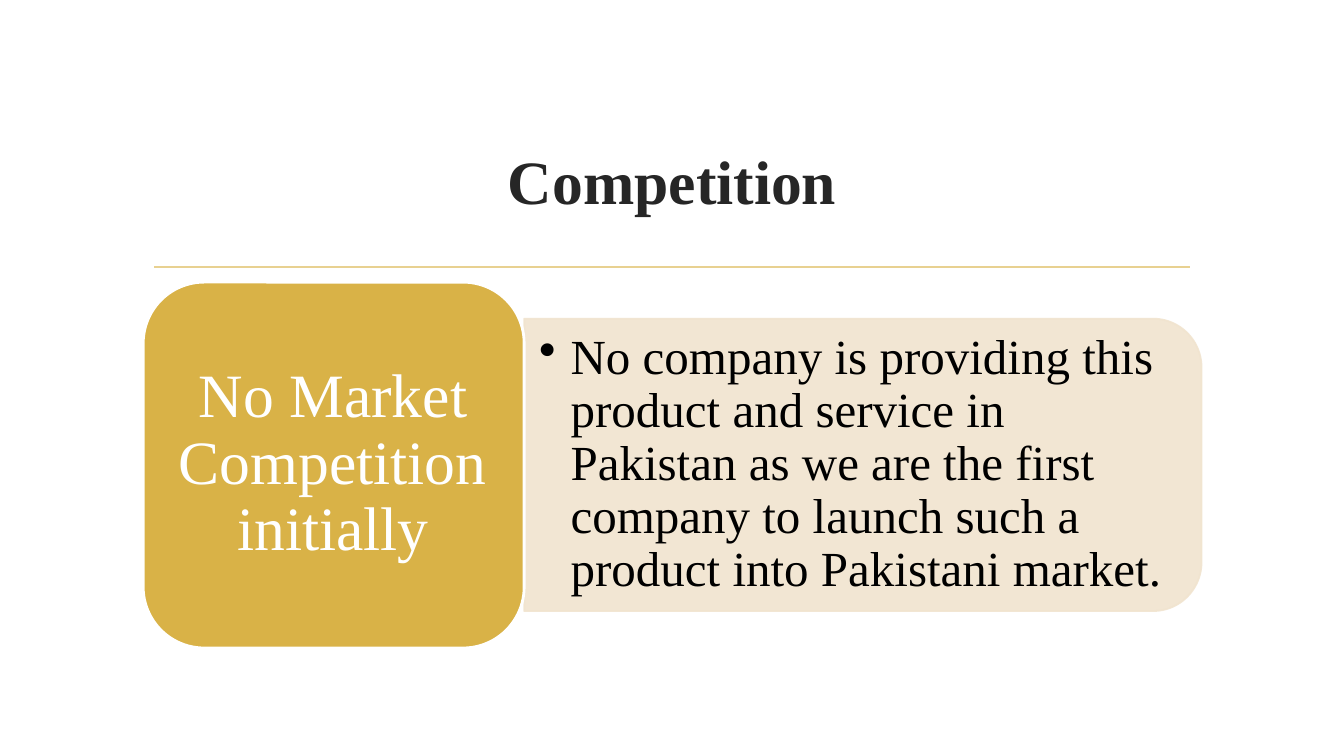
from lxml.etree import SubElement
from pptx import Presentation
from pptx.dml.color import RGBColor
from pptx.enum.shapes import MSO_CONNECTOR as Connector, MSO_SHAPE as Shape
from pptx.enum.text import MSO_ANCHOR as Anchor, PP_ALIGN as Align
from pptx.oxml.ns import qn
from pptx.util import Cm, Pt

WHITE = RGBColor(0xFF, 0xFF, 0xFF)
BLACK = RGBColor(0x00, 0x00, 0x00)
CHARCOAL = RGBColor(0x26, 0x26, 0x26)
GOLD = RGBColor(0xD9, 0xB2, 0x47)
PALE_GOLD = RGBColor(0xE8, 0xD1, 0x91)
CREAM = RGBColor(0xF1, 0xE4, 0xCF)


class SlideBuilder:
    font_name = "Times New Roman"

    def __init__(self, slide):
        self.slide = slide

    def rule(self, left, right, y, color, width):
        line = self.slide.shapes.add_connector(
            Connector.STRAIGHT, Cm(left), Cm(y), Cm(right), Cm(y))
        line.line.color.rgb = color
        line.line.width = Pt(width)
        SubElement(line._element.spPr, qn("a:effectLst"))

    def panel(self, kind, box, fill, outline, width, rotation=0, opacity=100):
        shape = self.slide.shapes.add_shape(kind, *map(Cm, box))
        shape.shadow.inherit = False
        shape.rotation = rotation
        shape.fill.solid()
        shape.fill.fore_color.rgb = fill
        shape.line.color.rgb = outline
        shape.line.width = Pt(width)
        if opacity < 100:
            for color in shape._element.spPr.iter(qn("a:srgbClr")):
                SubElement(color, qn("a:alpha"), val=str(opacity * 1000))

    def text(self, text, box, size, color, margins=(0.25, 0.13), bold=False,
             spacing=1.0, align=Align.CENTER, bullet_indent=0):
        frame = self.slide.shapes.add_textbox(*map(Cm, box)).text_frame
        frame.word_wrap = True
        frame.vertical_anchor = Anchor.MIDDLE
        frame.margin_left = frame.margin_right = Cm(margins[0])
        frame.margin_top = frame.margin_bottom = Cm(margins[1])
        frame.text = text
        paragraph = frame.paragraphs[0]
        paragraph.alignment = align
        paragraph.line_spacing = spacing
        if bullet_indent:
            properties = paragraph._p.get_or_add_pPr()
            properties.set("marL", str(Cm(bullet_indent)))
            properties.set("indent", str(-Cm(bullet_indent)))
            SubElement(properties, qn("a:buChar"), char="•")
        font = paragraph.runs[0].font
        font.name = self.font_name
        font.size = Pt(size)
        font.bold = bold
        font.color.rgb = color


def main():
    presentation = Presentation()
    presentation.slide_width = Cm(33.87)
    presentation.slide_height = Cm(19.05)
    builder = SlideBuilder(
        presentation.slides.add_slide(presentation.slide_layouts[6]))

    # Title and rule
    builder.rule(3.89, 30, 6.73, PALE_GOLD, 1.25)
    builder.text("Competition", (3.61, 2.72, 26.67, 3.63), 44, CHARCOAL, bold=True)

    # Explanation, on a panel turned so its round corners face right
    builder.panel(Shape.ROUND_2_SAME_RECTANGLE, (18.06, 3.18, 7.37, 17.07),
                  CREAM, CREAM, 1.25, rotation=90, opacity=90)
    builder.text("No company is providing this product and service in Pakistan "
                 "as we are the first company to launch such a product into "
                 "Pakistani market.",
                 (13.21, 8.38, 16.71, 6.65), 35, BLACK, margins=(0.38, 0.18),
                 spacing=0.9, align=Align.LEFT, bullet_indent=0.79)

    # Key message
    builder.panel(Shape.ROUNDED_RECTANGLE, (3.61, 7.11, 9.6, 9.22), GOLD, WHITE, 2)
    builder.text("No Market Competition initially", (4.04, 7.54, 8.71, 8.31),
                 44, WHITE, margins=(0.46, 0.23), spacing=0.9)

    presentation.save("out.pptx")


if __name__ == "__main__":
    main()
